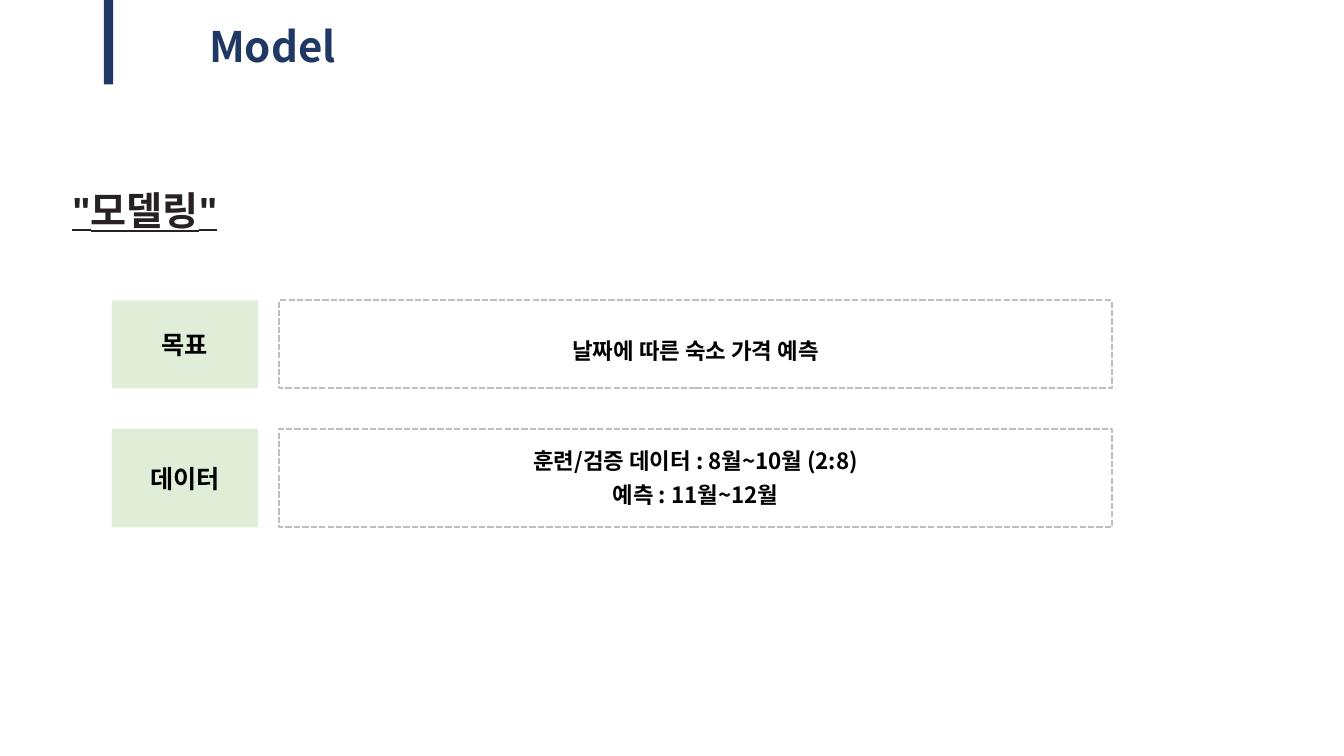
from pptx import Presentation
from pptx.dml.color import RGBColor
from pptx.enum import dml, shapes, text
from pptx.oxml import ns
from pptx.util import Cm, Pt
from lxml import etree

# Content
TITLE = "Model"
HEADING = '"모델링"'
# label, lines, top (cm), height (cm), line spacing
ROWS = [
    ("목표", ["날짜에 따른 숙소 가격 예측"], 7.57, 2.21, 1.5),
    ("데이터", ["훈련/검증 데이터 : 8월~10월 (2:8)", "예측 : 11월~12월"], 10.8, 2.49, 1.0),
]

# Style
NAVY = RGBColor(0x20, 0x38, 0x64)
CHARCOAL = RGBColor(0x27, 0x21, 0x23)
GREEN = RGBColor(0xC5, 0xE0, 0xB4)
GRAY = RGBColor(0xBF, 0xBF, 0xBF)
BLACK = RGBColor(0x00, 0x00, 0x00)
KOREAN_FONT = "Noto Sans CJK KR"
LABEL_LEFT, LABEL_WIDTH = 2.82, 3.68
DETAIL_LEFT, DETAIL_WIDTH = 7.04, 20.98


def write_lines(shape, lines, size, color, latin=KOREAN_FONT, underline=None):
    frame = shape.text_frame
    frame.text = "\n".join(lines)
    frame.word_wrap = True
    for paragraph in frame.paragraphs:
        paragraph.alignment = text.PP_ALIGN.CENTER
        for run in paragraph.runs:
            font = run.font
            font.size, font.bold, font.underline = Pt(size), True, underline
            font.color.rgb = color
            font.name = latin
            east_asian = etree.Element(ns.qn("a:ea"), typeface=KOREAN_FONT)
            run._r.rPr.find(ns.qn("a:latin")).addnext(east_asian)
    return frame


def add_rectangle(left, top, width, height):
    shape = slide.shapes.add_shape(
        shapes.MSO_SHAPE.RECTANGLE, Cm(left), Cm(top), Cm(width), Cm(height))
    shape.shadow.inherit = False
    shape.fill.background()
    shape.line.fill.background()
    frame = shape.text_frame
    frame.vertical_anchor = text.MSO_ANCHOR.MIDDLE
    frame.margin_left = frame.margin_right = Cm(0.33)
    frame.margin_top = frame.margin_bottom = Cm(0.15)
    return shape


def fill_solid(shape, color, opacity=100):
    shape.fill.solid()
    shape.fill.fore_color.rgb = color
    if opacity < 100:
        rgb = shape._element.spPr.find(".//" + ns.qn("a:srgbClr"))
        etree.SubElement(rgb, ns.qn("a:alpha"), val=str(opacity * 1000))


presentation = Presentation()
presentation.slide_width, presentation.slide_height = Cm(33.87), Cm(19.05)
slide = presentation.slides.add_slide(presentation.slide_layouts[5])

# Title with its bar
title = slide.shapes.title
title.left, title.top, title.width, title.height = Cm(4.75), Cm(0.38), Cm(4.24), Cm(1.55)
title_frame = write_lines(title, [TITLE], 30, NAVY)
title_frame.auto_size = text.MSO_AUTO_SIZE.NONE
title_frame.vertical_anchor = text.MSO_ANCHOR.MIDDLE
fill_solid(add_rectangle(2.62, 0, 0.23, 2.13), NAVY)

# Section heading
heading = slide.shapes.add_textbox(Cm(0.46), Cm(4.57), Cm(6.38), Cm(1.45))
write_lines(heading, [HEADING], 28, CHARCOAL, latin="Arial", underline=True)

# Labelled rows
for label_text, lines, top, height, line_spacing in ROWS:
    label = add_rectangle(LABEL_LEFT, top, LABEL_WIDTH, height)
    fill_solid(label, GREEN, opacity=53)
    write_lines(label, [label_text], 18, BLACK)

    detail = add_rectangle(DETAIL_LEFT, top, DETAIL_WIDTH, height)
    detail.line.color.rgb = GRAY
    detail.line.width = Pt(1.5)
    detail.line.dash_style = dml.MSO_LINE.SQUARE_DOT
    paragraphs = write_lines(detail, lines, 16, BLACK).paragraphs
    for paragraph in paragraphs:
        paragraph.line_spacing = line_spacing
    for paragraph in paragraphs[1:]:
        paragraph.space_before = Pt(5)

presentation.save("out.pptx")
